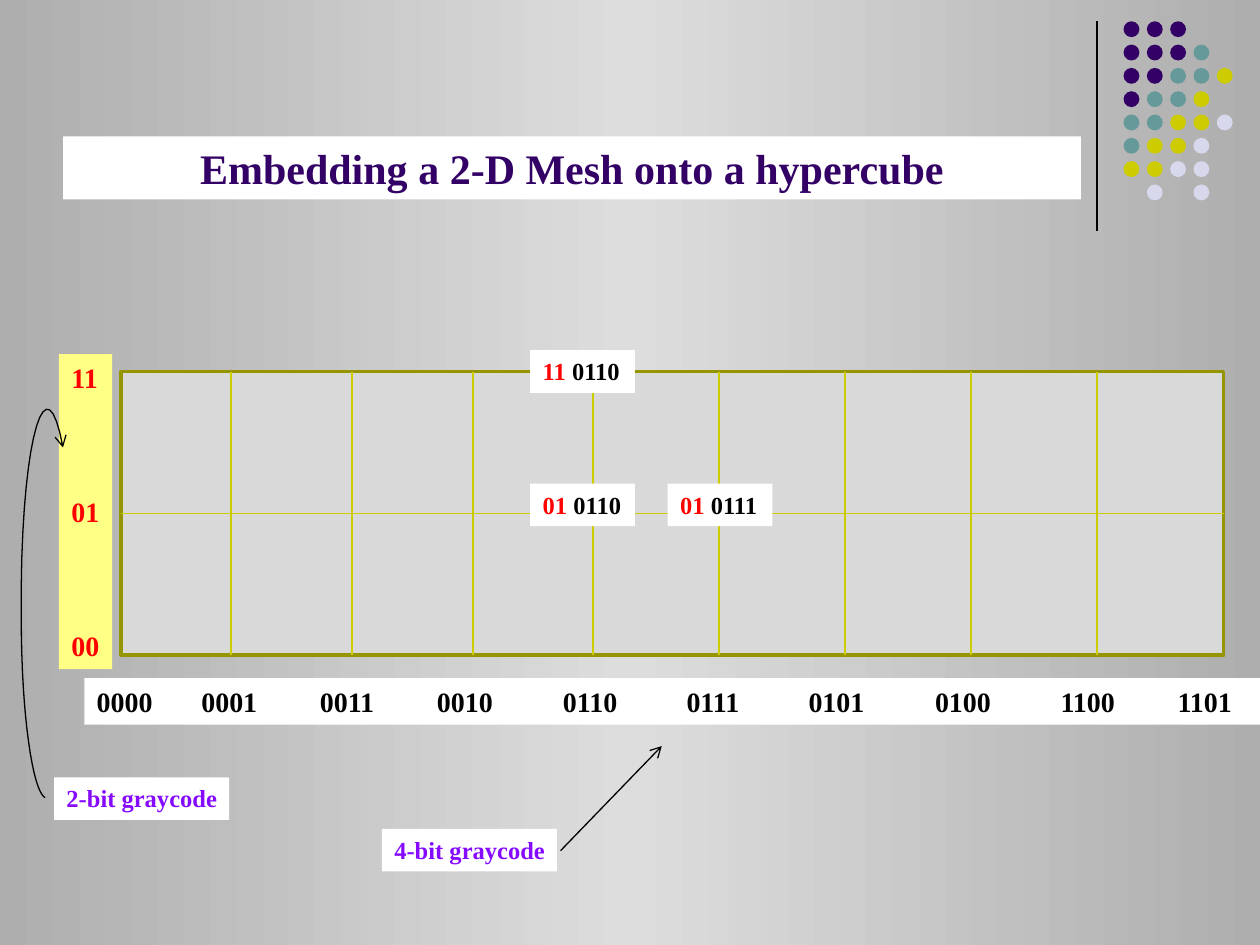
from copy import deepcopy
from dataclasses import dataclass

from lxml import etree
from pptx import Presentation
from pptx.dml.color import RGBColor
from pptx.enum.shapes import MSO_CONNECTOR, MSO_SHAPE
from pptx.enum.text import MSO_ANCHOR, PP_ALIGN
from pptx.oxml.ns import qn
from pptx.util import Cm, Pt

STRAIGHT = MSO_CONNECTOR.STRAIGHT
OVAL, RECTANGLE = MSO_SHAPE.OVAL, MSO_SHAPE.RECTANGLE
CENTER = PP_ALIGN.CENTER
BOTTOM, TOP = MSO_ANCHOR.BOTTOM, MSO_ANCHOR.TOP
TITLE_ONLY = 5


@dataclass(frozen=True)
class Theme:
    font: str = "Times New Roman"
    title_size: int = 24
    axis_size: int = 16
    label_size: int = 14
    thin: float = 0.75
    grid: float = 1
    thick: float = 2
    edge: str = "AEAEAE"
    middle: str = "DDDDDD"
    white: str = "FFFFFF"
    black: str = "000000"
    purple: str = "330066"
    teal: str = "669999"
    olive: str = "CCCC00"
    lilac: str = "D8D8EC"
    mesh_fill: str = "D9D9D9"
    mesh_border: str = "959500"
    row_axis: str = "FFFF85"
    red: str = "FF0000"
    violet: str = "850AFF"


THEME = Theme()


@dataclass(frozen=True)
class Area:
    """A rectangle in centimetres."""
    left: float
    top: float
    width: float
    height: float

    def lengths(self) -> tuple:
        return Cm(self.left), Cm(self.top), Cm(self.width), Cm(self.height)


@dataclass(frozen=True)
class Span:
    text: str
    color: str


@dataclass(frozen=True)
class Label:
    area: Area
    spans: tuple


MESH = Area(2.44, 7.49, 22.23, 5.72)
MESH_COLUMNS = [4.65 + 2.44 * i for i in range(3)] + [11.96 + 2.54 * i for i in range(5)]
ROW_CODES = ("11", "01", "00")
COLUMN_CODES = ("0000", "0001", "0011", "0010", "0110",
                "0111", "0101", "0100", "1100", "1101")
COLUMN_TABS = (2.11, 4.5, 6.86, 9.4, 11.89, 14.35, 16.9, 19.43, 21.79)
DOT_PITCH = 0.47
DOT_ROWS = ("PPP", "PPPT", "PPTTO", "PTTO", "TTOOL", "TOOL", "OOLL", " L L")
DOT_COLORS = {"P": THEME.purple, "T": THEME.teal, "O": THEME.olive, "L": THEME.lilac}
# Each curve: two control points and an end point, following on from the start.
LOOP_START = (1.27, 9.02)
LOOP_CURVES = (
    ((0.94, 7.21), (0.46, 8.76), (0.43, 11.81)),
    ((0.43, 12.01), (0.43, 12.24), (0.43, 12.45)),
    ((0.43, 14.4), (0.66, 15.95), (0.91, 16.08)),
)


def node(left: float, top: float, row: str, column: str) -> Label:
    return Label(Area(left, top, 2.11, 0.86),
                 (Span(row + " ", THEME.red), Span(column, THEME.black)))


def caption(left: float, top: float, text: str) -> Label:
    return Label(Area(left, top, 3.53, 0.86), (Span(text, THEME.violet),))


LABELS = (
    node(10.69, 9.75, "01", "0110"),
    node(10.69, 7.06, "11", "0110"),
    node(13.46, 9.75, "01", "0111"),
    caption(7.7, 16.71, "4-bit graycode"),
    caption(1.09, 15.67, "2-bit graycode"),
)


def rgb(color: str) -> RGBColor:
    return RGBColor.from_string(color)


def paint_background(page) -> None:
    fill = page.background.fill
    fill.gradient()
    fill.gradient_angle = 0
    for stop in fill.gradient_stops:
        stop.color.rgb = rgb(THEME.edge)
    stops = page._element.find(".//" + qn("a:gsLst"))
    stops.insert(1, deepcopy(stops[0]))
    center = fill.gradient_stops[1]
    center.position = 0.5
    center.color.rgb = rgb(THEME.middle)


def add_block(page, kind, area: Area, color: str):
    block = page.shapes.add_shape(kind, *area.lengths())
    block.shadow.inherit = False
    block.fill.solid()
    block.fill.fore_color.rgb = rgb(color)
    block.line.fill.background()
    return block


def style_line(line, color: str, width: float, arrow_end: str = "") -> None:
    """Set colour and width; arrow_end is headEnd, tailEnd or empty."""
    line.color.rgb = rgb(color)
    line.width = Pt(width)
    if arrow_end:
        etree.SubElement(line._get_or_add_ln(), qn("a:" + arrow_end), type="arrow")


def add_line(page, start: tuple, end: tuple, color: str, width: float, arrow_end: str = "") -> None:
    line = page.shapes.add_connector(STRAIGHT, *map(Cm, start + end))
    style_line(line.line, color, width, arrow_end)
    etree.SubElement(line._element.spPr, qn("a:effectLst"))


def add_span(para, span: Span, size: int) -> None:
    run = para.add_run()
    run.text = span.text
    run.font.name = THEME.font
    run.font.size = Pt(size)
    run.font.bold = True
    run.font.color.rgb = rgb(span.color)


def add_text_box(page, area: Area, color: str):
    """Add a filled box whose right inset is zero, so its one-line text never breaks."""
    box = page.shapes.add_textbox(*area.lengths())
    box.fill.solid()
    box.fill.fore_color.rgb = rgb(color)
    box.text_frame.word_wrap = True
    box.text_frame.margin_right = 0
    box.text_frame.vertical_anchor = TOP
    return box.text_frame


def add_title(page) -> None:
    title = page.shapes.title
    title.left, title.top, title.width, title.height = Area(1.27, 2.75, 20.52, 1.27).lengths()
    title.fill.solid()
    title.fill.fore_color.rgb = rgb(THEME.white)
    title.text_frame.vertical_anchor = BOTTOM
    para = title.text_frame.paragraphs[0]
    para.alignment = CENTER
    add_span(para, Span("Embedding a 2-D Mesh onto a hypercube", THEME.purple), THEME.title_size)


def add_corner_dots(page) -> None:
    add_line(page, (22.12, 0.43), (22.12, 4.65), THEME.black, THEME.grid)
    for row, codes in enumerate(DOT_ROWS):
        for column, code in enumerate(codes):
            if code in DOT_COLORS:
                area = Area(22.65 + DOT_PITCH * column, 0.43 + DOT_PITCH * row, 0.32, 0.32)
                add_block(page, OVAL, area, DOT_COLORS[code])


def add_mesh(page) -> None:
    frame = add_block(page, RECTANGLE, MESH, THEME.mesh_fill)
    style_line(frame.line, THEME.mesh_border, THEME.thick)
    right, bottom = MESH.left + MESH.width, MESH.top + MESH.height
    middle = MESH.top + MESH.height / 2
    add_line(page, (MESH.left, middle), (right, middle), THEME.olive, THEME.grid)
    for x in MESH_COLUMNS:
        add_line(page, (x, MESH.top), (x, bottom), THEME.olive, THEME.grid)


def add_axes(page) -> None:
    rows = add_text_box(page, Area(1.19, 7.14, 1.07, 6.35), THEME.row_axis)
    for index, code in enumerate(ROW_CODES):
        para = rows.add_paragraph() if index else rows.paragraphs[0]
        para.space_before = Pt(57.5 if index else 0)
        add_span(para, Span(code, THEME.red), THEME.axis_size)
    columns = add_text_box(page, Area(1.7, 13.67, 23.7, 0.94), THEME.white)
    para = columns.paragraphs[0]
    tabs = etree.SubElement(para._p.get_or_add_pPr(), qn("a:tabLst"))
    for position in COLUMN_TABS:
        etree.SubElement(tabs, qn("a:tab"), pos=str(Cm(position)), algn="l")
    add_span(para, Span("\t".join(COLUMN_CODES), THEME.black), THEME.axis_size)


def add_loop_arrow(page, steps: int = 16) -> None:
    """Trace the cubic curves with short segments, arrowhead at the start."""
    points, start = [], LOOP_START
    for first, second, end in LOOP_CURVES:
        for t in (step / steps for step in range(1, steps + 1)):
            points.append(tuple(
                Cm((1 - t) ** 3 * a + 3 * (1 - t) ** 2 * t * b + 3 * (1 - t) * t ** 2 * c + t ** 3 * d)
                for a, b, c, d in zip(start, first, second, end)))
        start = end
    builder = page.shapes.build_freeform(*map(Cm, LOOP_START))
    builder.add_line_segments(points, close=False)
    loop = builder.convert_to_shape()
    loop.shadow.inherit = False
    loop.fill.background()
    style_line(loop.line, THEME.black, THEME.thin, "headEnd")


def main() -> None:
    deck = Presentation()
    deck.slide_width, deck.slide_height = Cm(25.4), Cm(19.05)
    page = deck.slides.add_slide(deck.slide_layouts[TITLE_ONLY])
    paint_background(page)
    add_corner_dots(page)
    add_title(page)
    add_mesh(page)
    add_axes(page)
    for label in LABELS:
        para = add_text_box(page, label.area, THEME.white).paragraphs[0]
        for span in label.spans:
            add_span(para, span, THEME.label_size)
    add_line(page, (11.3, 17.15), (13.34, 15.04), THEME.black, THEME.thin, "tailEnd")
    add_loop_arrow(page)
    deck.save("out.pptx")


if __name__ == "__main__":
    main()
